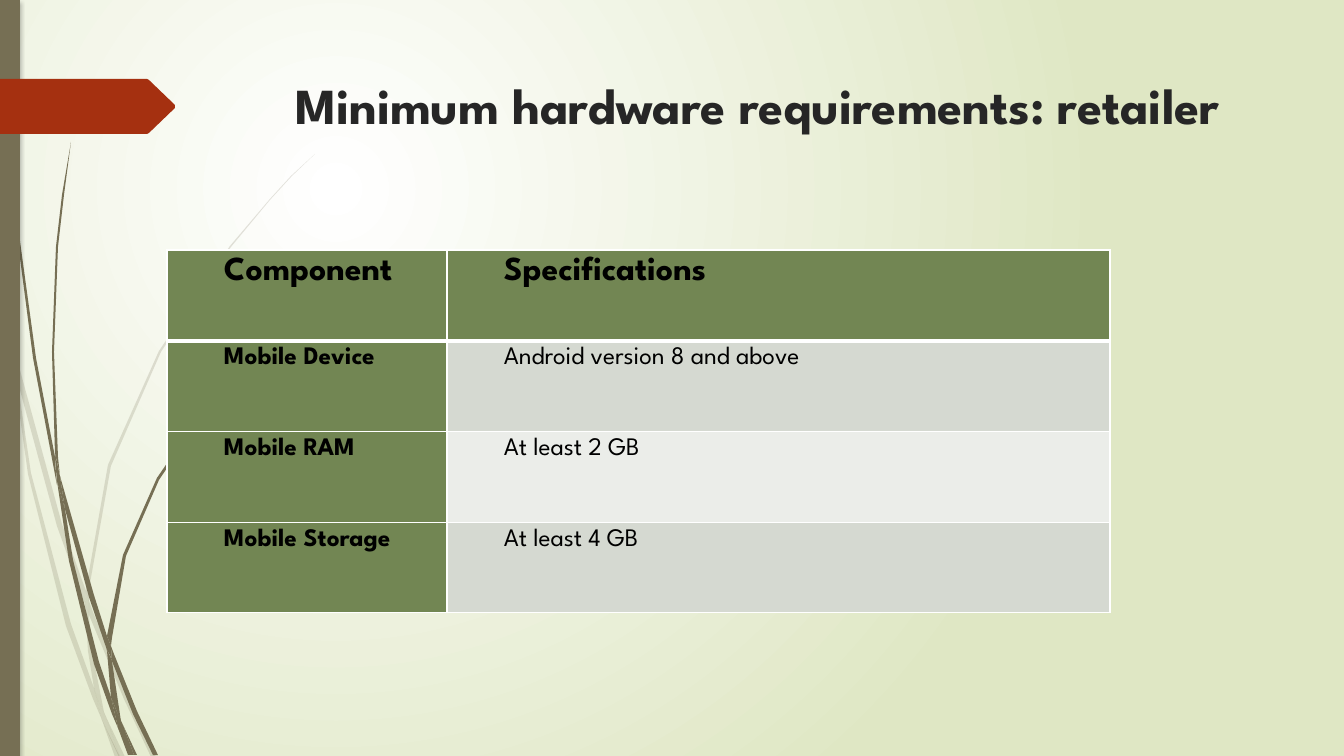
from lxml.etree import SubElement
from pptx import Presentation
from pptx.dml.color import RGBColor
from pptx.enum.shapes import MSO_SHAPE
from pptx.enum.text import MSO_ANCHOR, MSO_AUTO_SIZE, PP_ALIGN
from pptx.oxml import parse_xml
from pptx.oxml.ns import nsdecls, qn
from pptx.util import Pt

EMU_PER_PX = 914400 / 100.8
SLIDE_WIDTH, SLIDE_HEIGHT = 1344, 756
FONT = "League Spartan"
OLIVE, RUST, MOSS = "766F54", "A53010", "728653"
BANDS = ["D5D9D1", "EBEDE9"]

# Grass blades, each the corners of a closed outline.
PALE_BLADES = [
    [(11, 353), (8, 325), (0, 284), (0, 301), (10, 347)],
    [(57, 526), (85, 604), (86, 591), (62, 524), (14, 348), (17, 379)],
    [(93, 612), (89, 601), (89, 615), (124, 699), (151, 757), (156, 757),
     (128, 697)],
    [(120, 757), (125, 757), (106, 717)],
    [(94, 688), (71, 624), (31, 473), (17, 379), (11, 353), (28, 474),
     (66, 626), (93, 699), (102, 720), (100, 713)],
    [(85, 604), (88, 651), (94, 688), (97, 698), (106, 717), (104, 712),
     (92, 651), (89, 615), (89, 613)],
    [(89, 589), (111, 466), (161, 352), (231, 247), (270, 200), (292, 176),
     (315, 154), (291, 176), (270, 199), (230, 246), (159, 351), (108, 465),
     (86, 589), (86, 591), (89, 601)],
    [(102, 720), (115, 757), (120, 757)],
    [(89, 613), (89, 615), (89, 601), (86, 591), (85, 604)],
    [(97, 698), (94, 688), (100, 713), (102, 720), (119, 757), (120, 757),
     (106, 717)],
]
DARK_BLADES = [
    [(7, 111), (17, 235), (33, 358), (56, 480), (57, 485), (55, 461),
     (55, 457), (36, 358), (19, 234), (8, 110), (5, 48), (4, 0), (3, 0),
     (4, 48)],
    [(89, 597), (107, 650), (107, 638), (107, 636), (94, 595), (60, 476),
     (65, 509)],
    [(114, 654), (111, 646), (112, 661), (133, 714), (153, 755), (158, 755),
     (137, 711)],
    [(111, 697), (99, 662), (73, 560), (65, 509), (57, 481), (69, 561),
     (94, 664), (112, 714), (118, 728), (117, 723)],
    [(60, 476), (58, 457), (54, 352), (58, 247), (64, 195), (71, 142),
     (62, 195), (56, 247), (52, 352), (55, 453), (60, 475)],
    [(134, 755), (137, 755), (123, 725)],
    [(57, 481), (65, 509), (60, 476), (55, 453), (55, 457)],
    [(112, 638), (126, 556), (159, 480), (207, 409), (233, 377), (247, 362),
     (263, 347), (262, 347), (247, 361), (233, 376), (205, 408), (157, 478),
     (123, 555), (107, 636), (111, 646)],
    [(118, 728), (128, 755), (132, 755)],
    [(107, 650), (111, 697), (117, 712), (122, 725), (121, 721), (112, 661),
     (110, 656)],
    [(107, 650), (110, 655), (112, 661), (111, 646), (107, 636), (107, 638)],
    [(117, 712), (111, 697), (117, 723), (118, 728), (131, 755), (134, 755),
     (123, 725)],
]
TAG = [(175, 108), (149, 133), (147, 134), (0, 134), (0, 79), (147, 79),
       (149, 80), (175, 105)]

SPECIFICATIONS = [
    ("Component", "Specifications"),
    ("Mobile Device", "Android version 8 and above"),
    ("Mobile RAM", "At least 2 GB"),
    ("Mobile Storage", "At least 4 GB"),
]


def px(length):
    return round(length * EMU_PER_PX)


def color(hex_string):
    return RGBColor.from_string(hex_string)


def paint(shape, hex_string):
    shape.shadow.inherit = False
    shape.fill.solid()
    shape.fill.fore_color.rgb = color(hex_string)
    shape.line.fill.background()


def set_background(slide):
    fill = slide.background.fill
    fill.gradient()
    for stop, hex_string, position in zip(
            fill.gradient_stops, ["FFFFFF", "DFE7C4"], [0, 1]):
        stop.color.rgb = color(hex_string)
        stop.position = position
    gradient = next(slide.element.iter(qn("a:gradFill")))
    gradient.remove(gradient.find(qn("a:lin")))
    gradient.append(parse_xml(
        f'<a:path {nsdecls("a")} path="circle"><a:fillToRect l="25000" '
        't="25000" r="75000" b="75000"/></a:path>'))


def add_outline(slide, left, top, corners, hex_string, alpha=None):
    """Draw a closed outline, with alpha in percent."""
    start, *others = [(px(left + x), px(top + y)) for x, y in corners]
    builder = slide.shapes.build_freeform(*start)
    builder.add_line_segments(others)
    outline = builder.convert_to_shape()
    paint(outline, hex_string)
    if alpha:
        fill_color = outline.element.spPr.find(qn("a:solidFill"))[0]
        SubElement(fill_color, qn("a:alpha"), val=str(alpha * 1000))


def add_decoration(slide, left, top, width, height):
    for blade in PALE_BLADES:
        add_outline(slide, left, top, blade, OLIVE, alpha=20)
    for blade in DARK_BLADES:
        add_outline(slide, left, top, blade, OLIVE)
    sidebar = slide.shapes.add_shape(
        MSO_SHAPE.RECTANGLE, px(left), px(top), px(width), px(height))
    paint(sidebar, OLIVE)
    effects = sidebar.element.spPr.find(qn("a:effectLst"))
    effects.append(parse_xml(
        f'<a:outerShdw {nsdecls("a")} blurRad="{Pt(3)}" dist="{Pt(2)}" '
        'dir="5400000"><a:srgbClr val="000000"><a:alpha val="25000"/>'
        '</a:srgbClr></a:outerShdw>'))
    add_outline(slide, left, top, TAG, RUST)


def format_text(paragraph, size, hex_string, bold):
    font = paragraph.font
    font.name, font.size, font.bold = FONT, Pt(size), bold
    font.color.rgb = color(hex_string)


def add_title(slide, left, top, width, height):
    title = slide.shapes.title
    title.left, title.top = px(left), px(top)
    title.width, title.height = px(width), px(height)
    frame = title.text_frame
    frame.text = "Minimum hardware requirements: retailer"
    frame.word_wrap = True
    frame.auto_size = MSO_AUTO_SIZE.NONE
    frame.vertical_anchor = MSO_ANCHOR.TOP
    frame.paragraphs[0].alignment = PP_ALIGN.LEFT
    format_text(frame.paragraphs[0], 36, "262626", True)


def set_header_borders(cell):
    properties = cell._tc.get_or_add_tcPr()
    widths = {"lnL": 0.96, "lnR": 0.96, "lnT": 0.96, "lnB": 3}
    for position, (side, width) in enumerate(widths.items()):
        properties.insert(position, parse_xml(
            f'<a:{side} {nsdecls("a")} w="{Pt(width)}"><a:solidFill>'
            f'<a:srgbClr val="FFFFFF"/></a:solidFill></a:{side}>'))


def fill_cell(cell, text, row, column):
    is_header, is_label = row == 0, column == 0
    cell.text = text
    cell.margin_left = cell.margin_right = px(7)
    cell.margin_top = cell.margin_bottom = px(5)
    cell.fill.solid()
    cell.fill.fore_color.rgb = color(
        MOSS if is_header or is_label else BANDS[(row - 1) % 2])
    if is_header:
        set_header_borders(cell)
    paragraph = cell.text_frame.paragraphs[0]
    indents = paragraph._p.get_or_add_pPr()
    indents.set("marL", str(px(50)))
    indents.set("indent", "0")
    paragraph.alignment = PP_ALIGN.JUSTIFY
    paragraph.line_spacing = 1.07
    paragraph.space_after = Pt(0 if is_label else 8)
    format_text(paragraph, 24 if is_header else 18, "000000",
                is_header or is_label)


def add_specifications(slide, left, top, width, height):
    table = slide.shapes.add_table(
        len(SPECIFICATIONS), 2, px(left), px(top), px(width), px(height)).table
    label_width = 280
    table.columns[0].width = px(label_width)
    table.columns[1].width = px(width - label_width)
    for row, texts in enumerate(SPECIFICATIONS):
        table.rows[row].height = px(height / len(SPECIFICATIONS))
        for column, text in enumerate(texts):
            fill_cell(table.cell(row, column), text, row, column)


def main():
    presentation = Presentation()
    presentation.slide_width = px(SLIDE_WIDTH)
    presentation.slide_height = px(SLIDE_HEIGHT)
    slide = presentation.slides.add_slide(presentation.slide_layouts[5])
    set_background(slide)
    add_decoration(slide, 0, 0, 20, SLIDE_HEIGHT)
    add_title(slide, 285, 69, 983, 141)
    add_specifications(slide, 167, 250, 943, 363)
    presentation.save("out.pptx")


if __name__ == "__main__":
    main()
